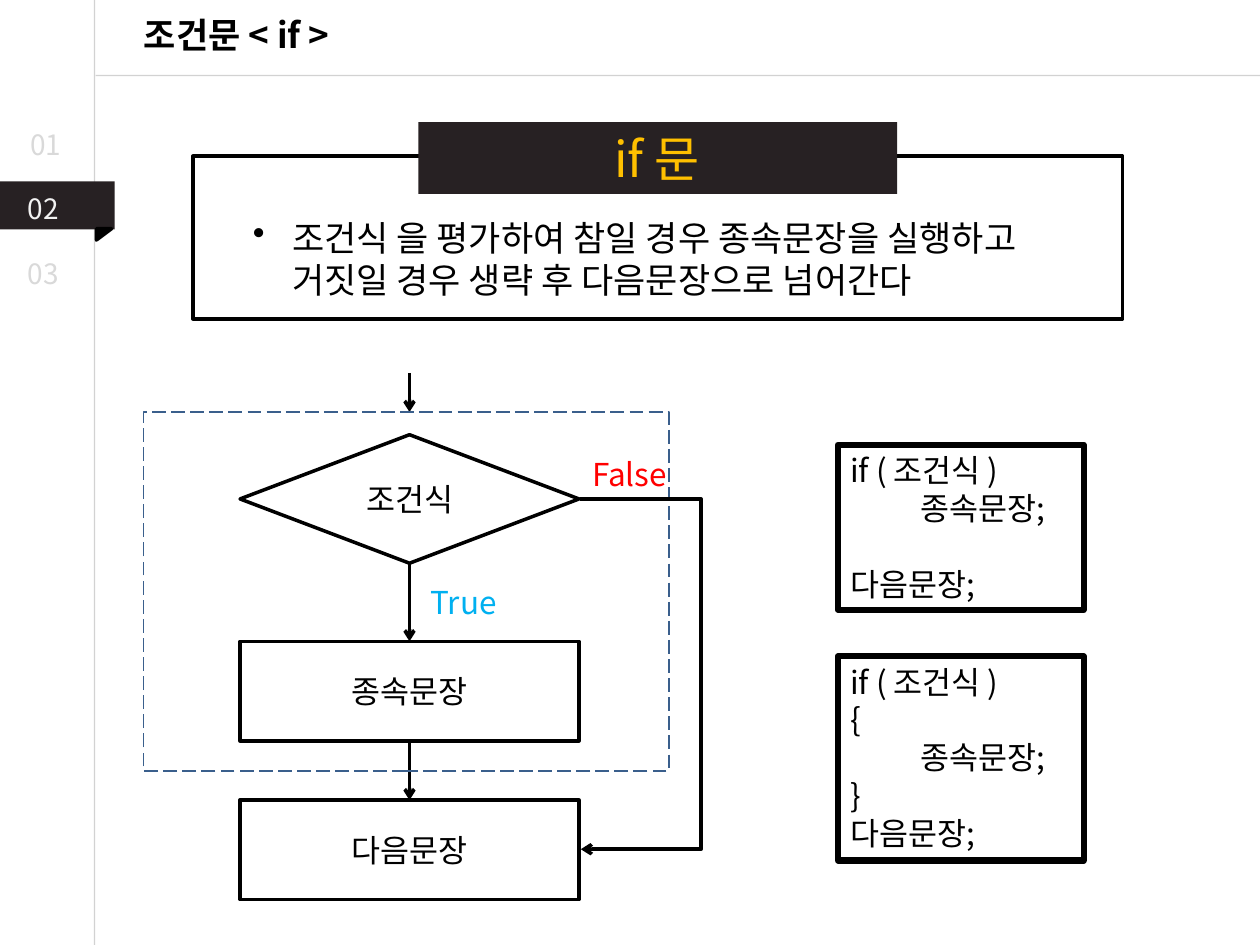
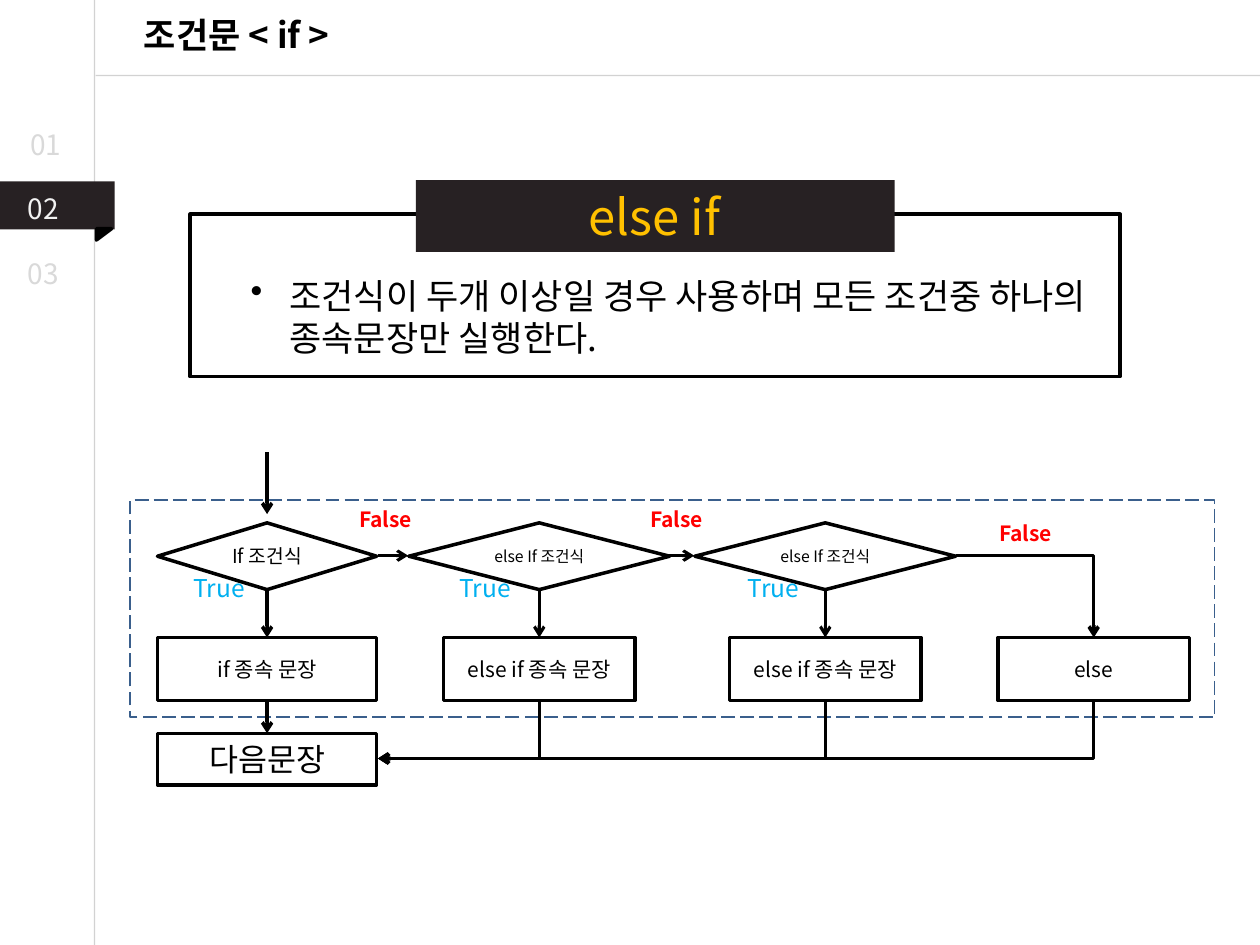
import pptx
import pptx.util
import pptx.dml.color
import pptx.enum.dml
import pptx.enum.shapes
import pptx.enum.text
import pptx.oxml
import pptx.oxml.ns
import lxml.etree

Inches = pptx.util.Inches
Shape = pptx.enum.shapes.MSO_SHAPE
Connector = pptx.enum.shapes.MSO_CONNECTOR
Align = pptx.enum.text.PP_ALIGN
Anchor = pptx.enum.text.MSO_ANCHOR

FONT = "Noto Sans CJK KR"
BLACK = "000000"
DARK = "272123"
GOLD = "FFC000"
RED = "FF0000"
CYAN = "00B0F0"
GUIDE = "A6A6A6"
FRAME = "3A5F8C"
MUTED = "D9D9D9"
CURRENT = "F2F2F2"


def color(value):
    return pptx.dml.color.RGBColor.from_string(value)


def add_node(parent, tag, **attributes):
    node = lxml.etree.SubElement(parent, pptx.oxml.ns.qn(tag))
    for name, value in attributes.items():
        node.set(name, str(value))
    return node


def style_paragraph(para, size, ink, bold=False, align=Align.LEFT):
    para.alignment = align
    para.font.size = pptx.util.Pt(size)
    para.font.bold = bold
    para.font.color.rgb = color(ink)
    para.font.name = FONT
    add_node(para.font._element, "a:ea", typeface=FONT)


def add_box(shapes, kind, left, top, width, height, fill=None, line=None, weight=2):
    box = shapes.add_shape(kind, Inches(left), Inches(top), Inches(width), Inches(height))
    box.shadow.inherit = False
    if fill:
        box.fill.solid()
        box.fill.fore_color.rgb = color(fill)
    else:
        box.fill.background()
    if line:
        box.line.color.rgb = color(line)
        box.line.width = pptx.util.Pt(weight)
    else:
        box.line.fill.background()
    return box


def add_text(shapes, left, top, width, height, text, size, ink, bold=False, align=Align.LEFT):
    box = shapes.add_textbox(Inches(left), Inches(top), Inches(width), Inches(height))
    box.text_frame.word_wrap = True
    para = box.text_frame.paragraphs[0]
    para.text = text
    style_paragraph(para, size, ink, bold, align)
    return para


def add_step(shapes, kind, center, top, width, height, text, size):
    box = add_box(shapes, kind, center - width / 2, top, width, height, line=BLACK)
    box.text_frame.word_wrap = True
    box.text_frame.vertical_anchor = Anchor.MIDDLE
    para = box.text_frame.paragraphs[0]
    para.text = text
    style_paragraph(para, size, BLACK, align=Align.CENTER)


def add_line(shapes, start, end, ink=BLACK, weight=2, arrow=True, kind=Connector.STRAIGHT):
    points = [Inches(value) for value in (*start, *end)]
    line = shapes.add_connector(kind, *points)
    line.line.color.rgb = color(ink)
    line.line.width = pptx.util.Pt(weight)
    if arrow:
        add_node(line.line._get_or_add_ln(), "a:tailEnd", type="arrow")
    add_node(line._element.spPr, "a:effectLst")
    return line


def add_guide(shapes, start, end):
    line = add_line(shapes, start, end, GUIDE, 0.75, arrow=False)
    ink = line._element.spPr.find(".//" + pptx.oxml.ns.qn("a:srgbClr"))
    add_node(ink, "a:alpha", val=50000)


def add_corner(shapes, start, end, down_first=False):
    line = add_line(shapes, start, end, kind=Connector.ELBOW)
    properties = line._element.spPr
    properties.prstGeom.set("prst", "bentConnector2")
    if down_first:
        across, down = abs(end[0] - start[0]), abs(end[1] - start[1])
        middle_x, middle_y = (start[0] + end[0]) / 2, (start[1] + end[1]) / 2
        line.left, line.top = Inches(middle_x - down / 2), Inches(middle_y - across / 2)
        line.width, line.height = Inches(down), Inches(across)
        properties.xfrm.set("rot", str(90 * 60000))
        properties.xfrm.attrib.pop("flipH", None)


def add_detour(shapes, start, end, turn):
    line = add_line(shapes, start, end, kind=Connector.ELBOW)
    share = round((turn - start[0]) / (end[0] - start[0]) * 100000)
    values = line._element.spPr.prstGeom.get_or_add_avLst()
    add_node(values, "a:gd", name="adj1", fmla=f"val {share}")


def add_frame(shapes, left, top, width, height):
    box = add_box(shapes, Shape.RECTANGLE, left, top, width, height, line=FRAME, weight=1)
    box.line.dash_style = pptx.enum.dml.MSO_LINE.LONG_DASH


def add_code(shapes, top, height, lines):
    box = add_box(shapes, Shape.RECTANGLE, 6.65, top, 1.95, height, line=BLACK, weight=3.5)
    frame = box.text_frame
    frame.word_wrap = True
    frame.vertical_anchor = Anchor.TOP
    for index, (text, indent, gap) in enumerate(lines):
        para = frame.add_paragraph() if index else frame.paragraphs[0]
        para.text = text
        style_paragraph(para, 18, BLACK)
        para.space_before = pptx.util.Pt(gap)
        para._p.get_or_add_pPr().set("marL", str(Inches(indent)))


def add_panel(page, left, top, heading, text):
    group = page.shapes.add_group_shape().shapes
    add_box(group, Shape.RECTANGLE, left, top + 0.27, 7.38, 1.29, line=BLACK)
    add_box(group, Shape.RECTANGLE, left + 1.79, top, 3.8, 0.57, fill=DARK)
    add_text(group, left + 1.45, top, 4.47, 0.57, heading, 28, GOLD, align=Align.CENTER)
    para = add_text(page.shapes, left + 0.38, top + 0.7, 6.87, 0.77, text, 20, BLACK)
    properties = para._p.get_or_add_pPr()
    properties.set("marL", str(Inches(0.31)))
    properties.set("indent", str(Inches(-0.31)))
    bullet = pptx.oxml.parse_xml(
        f'<a:buChar {pptx.oxml.ns.nsdecls("a")} char="•"/>')
    properties.insert_element_before(bullet, "a:tabLst", "a:defRPr", "a:extLst")


def add_page(deck):
    page = deck.slides.add_slide(deck.slide_layouts[6])
    shapes = page.shapes
    add_guide(shapes, (0.75, 0), (0.75, 7.5))
    add_guide(shapes, (10, 0.6), (0.76, 0.6))
    add_box(shapes, Shape.RECTANGLE, 0, 1.44, 0.91, 0.38, fill=DARK)
    fold = add_box(shapes, Shape.RIGHT_TRIANGLE, 0.78, 1.8, 0.09, 0.12, BLACK, BLACK)
    fold.rotation = 90
    add_text(shapes, 0.14, 0.96, 0.59, 0.37, "01", 16, MUTED)
    add_text(shapes, 0.12, 1.47, 0.49, 0.37, "02", 16, CURRENT)
    add_text(shapes, 0.12, 1.99, 0.49, 0.37, "03", 16, MUTED)
    add_text(shapes, 0.81, 0.06, 2.14, 0.44, "조건문 < if >", 20, BLACK, True, Align.CENTER)
    return page


def build_if(deck):
    page = add_page(deck)
    shapes = page.shapes
    add_panel(page, 1.53, 0.97, "if 문",
              "조건식 을 평가하여 참일 경우 종속문장을 실행하고 거짓일 경우 생략 후 다음문장으로 넘어간다")
    center, width = 3.25, 2.69
    for kind, top, height, text in (
            (Shape.DIAMOND, 3.45, 1.02, "조건식"),
            (Shape.RECTANGLE, 5.09, 0.79, "종속문장"),
            (Shape.RECTANGLE, 6.35, 0.79, "다음문장")):
        add_step(shapes, kind, center, top, width, height, text, 18)
    for start, end in ((4.47, 5.09), (5.88, 6.35), (2.96, 3.27)):
        add_line(shapes, (center, start), (center, end))
    add_frame(shapes, 1.14, 3.27, 4.17, 2.85)
    add_detour(shapes, (4.6, 3.96), (4.61, 6.74), 5.58)
    add_text(shapes, 3.32, 4.58, 0.92, 0.4, "True", 18, CYAN)
    add_text(shapes, 4.6, 3.56, 0.92, 0.4, "False", 18, RED)
    condition, body = ("if ( 조건식 )", 0, 0), ("종속문장;", 0.56, 0)
    add_code(shapes, 3.53, 1.31, [condition, body, ("다음문장;", 0, 21.7)])
    add_code(shapes, 5.21, 1.62,
             [condition, ("{", 0, 0), body, ("}", 0, 0), ("다음문장;", 0, 0)])


def build_else_if(deck):
    page = add_page(deck)
    shapes = page.shapes
    add_panel(page, 1.51, 1.43, "else if",
              "조건식이 두개 이상일 경우 사용하며 모든 조건중 하나의 종속문장만 실행한다.")
    first, second, third, last = 2.12, 4.28, 6.55, 8.68
    add_frame(shapes, 1.03, 3.97, 8.61, 1.72)
    for center, width, text, size in (
            (first, 1.74, "If 조건식", 11),
            (second, 2.07, "else If 조건식", 9),
            (third, 2.07, "else If 조건식", 9)):
        add_step(shapes, Shape.DIAMOND, center, 4.15, width, 0.53, text, size)
        add_line(shapes, (center, 4.68), (center, 5.06), weight=2 if center == first else 1.75)
    for center, width, text in (
            (first, 1.74, "if 종속 문장"),
            (second, 1.52, "else if 종속 문장"),
            (third, 1.52, "else if 종속 문장"),
            (last, 1.52, "else")):
        add_step(shapes, Shape.RECTANGLE, center, 5.06, width, 0.5, text, 12)
    add_step(shapes, Shape.RECTANGLE, first, 5.82, 1.74, 0.41, "다음문장", 18)
    add_line(shapes, (first, 5.55), (first, 5.82))
    add_line(shapes, (first, 3.59), (first, 4.08))
    for start, end in ((3, 3.24), (5.31, 5.51)):
        add_line(shapes, (start, 4.41), (end, 4.41), weight=1.75)
    for center in (second, third, last):
        add_corner(shapes, (center, 5.55), (3, 6.02), down_first=True)
    add_corner(shapes, (7.59, 4.41), (last, 5.06))
    for left in (1.36, 3.47, 5.76):
        add_text(shapes, left, 4.5, 0.76, 0.34, "True", 14, CYAN, align=Align.CENTER)
    for left, top in ((2.68, 3.97), (4.99, 3.97), (7.76, 4.08)):
        add_text(shapes, left, top, 0.76, 0.3, "False", 12, RED, True, Align.CENTER)


def main():
    deck = pptx.Presentation()
    deck.slide_width, deck.slide_height = Inches(10), Inches(7.5)
    build_if(deck)
    build_else_if(deck)
    deck.save("out.pptx")


main()
